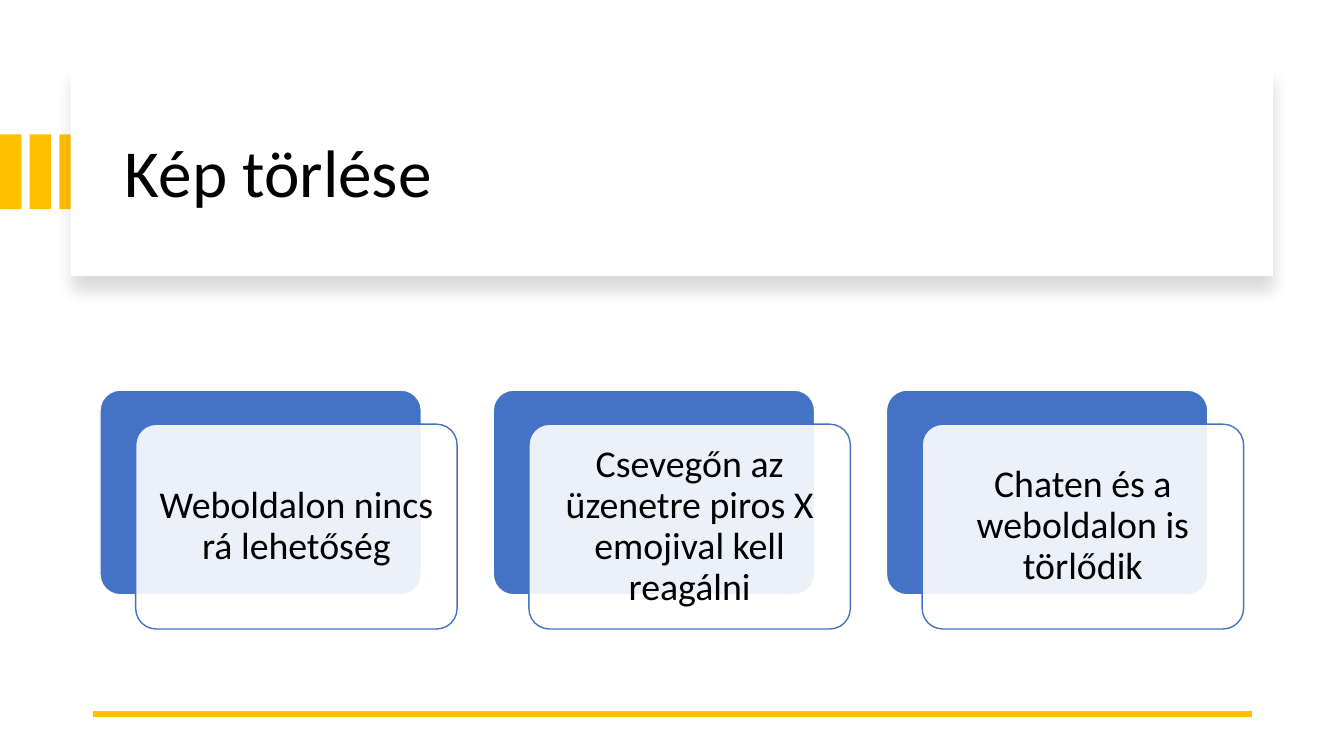
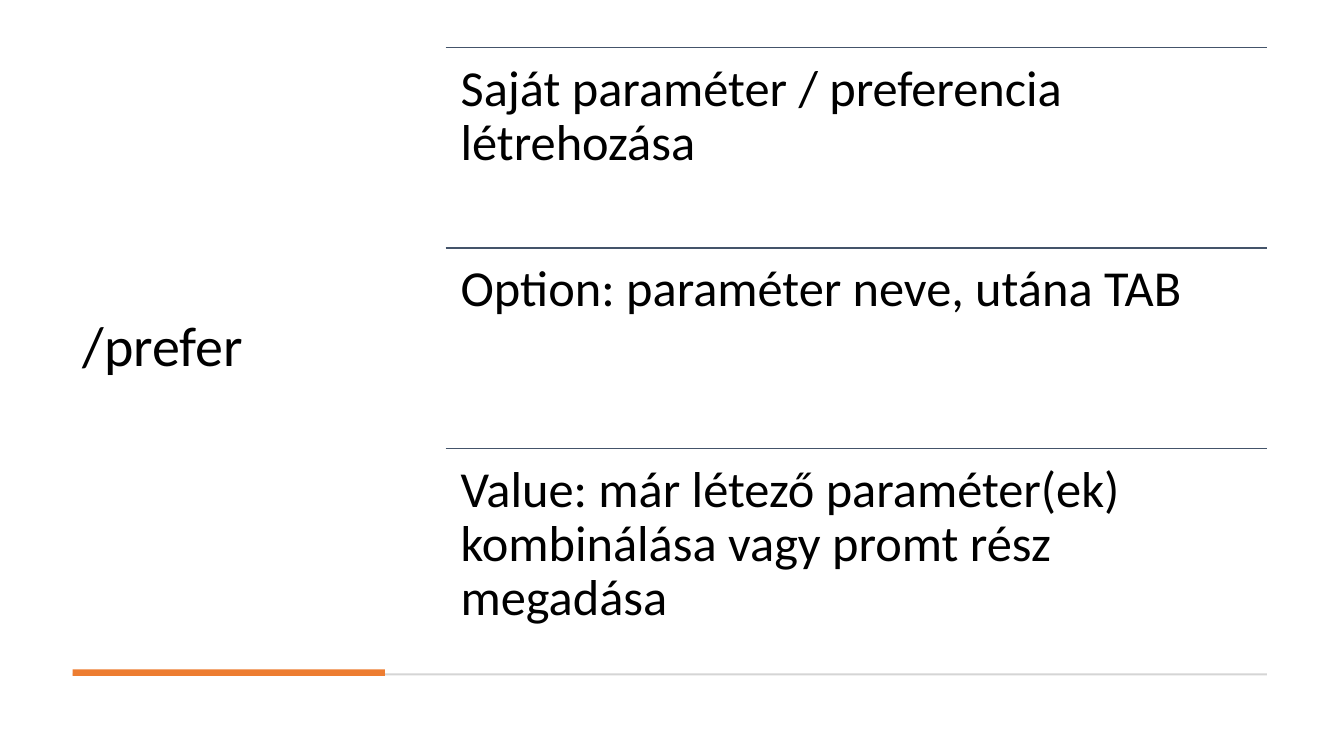
from dataclasses import dataclass

from pptx import Presentation
from pptx import util as u
from pptx.dml.color import RGBColor
from pptx.enum import shapes, text
from pptx.oxml import ns, xmlchemy

Cm, Pt = u.Cm, u.Pt


@dataclass(frozen=True)
class Theme:
    font: str = "Calibri"
    ink: str = "000000"
    paper: str = "FFFFFF"
    gold: str = "FFC000"
    orange: str = "ED7D31"
    blue: str = "4472C4"
    slate: str = "44546A"
    gray: str = "D5D5D5"
    banner_size: int = 48
    side_size: int = 40
    row_size: int = 36
    card_size: int = 27
    spacing: float = 0.9


THEME = Theme()
RECT = shapes.MSO_SHAPE.RECTANGLE
ROUNDED = shapes.MSO_SHAPE.ROUNDED_RECTANGLE


def add_child(parent, tag, **attributes):
    child = xmlchemy.OxmlElement(tag)
    for name, value in attributes.items():
        child.set(name, str(value))
    parent.append(child)
    return child


# Basic elements
def add_block(page, left, top, width, height, fill, line=None, kind=RECT):
    box = page.shapes.add_shape(kind, Cm(left), Cm(top), Cm(width), Cm(height))
    box.shadow.inherit = False
    box.fill.solid()
    box.fill.fore_color.rgb = RGBColor.from_string(fill)
    if line:
        box.line.color.rgb = RGBColor.from_string(line)
        box.line.width = Pt(1)
    else:
        box.line.fill.background()
    return box


def add_rule(page, left, right, y, color, weight):
    rule = page.shapes.add_connector(
        shapes.MSO_CONNECTOR.STRAIGHT, Cm(left), Cm(y), Cm(right), Cm(y))
    rule.line.color.rgb = RGBColor.from_string(color)
    rule.line.width = Pt(weight)
    add_child(rule._element.spPr, "a:effectLst")


def write(box, words, size, anchor=text.MSO_ANCHOR.MIDDLE,
          align=text.PP_ALIGN.LEFT, inset=None):
    frame = box.text_frame
    frame.word_wrap = True
    frame.vertical_anchor = anchor
    if inset is not None:
        frame.margin_left = frame.margin_right = Cm(inset)
        frame.margin_top = frame.margin_bottom = Cm(inset)
    frame.text = words
    para = frame.paragraphs[0]
    para.alignment = align
    para.line_spacing = THEME.spacing
    para.font.name = THEME.font
    para.font.size = Pt(size)
    para.font.color.rgb = RGBColor.from_string(THEME.ink)


def add_text(page, left, top, width, height, words, size, **style):
    box = page.shapes.add_textbox(Cm(left), Cm(top), Cm(width), Cm(height))
    write(box, words, size, **style)


# Effects
def add_soft_shadow(box):
    effects = box._element.spPr.find(ns.qn("a:effectLst"))
    shadow = add_child(effects, "a:outerShdw", blurRad=Pt(11), dist=Pt(10),
                       dir=90 * 60000, algn="t", rotWithShape=0)
    color = add_child(shadow, "a:srgbClr", val=THEME.ink)
    add_child(color, "a:alpha", val=15000)


def set_opacity(box, percent):
    color = box._element.spPr.find(ns.qn("a:solidFill"))[0]
    add_child(color, "a:alpha", val=percent * 1000)


# Composite elements
def add_banner(page, title):
    for index in range(3):
        add_block(page, index * 0.75, 3.39, 0.54, 1.88, THEME.gold)
    panel = add_block(page, 1.78, 1.7, 30.3, 5.26, THEME.paper)
    add_soft_shadow(panel)
    add_text(page, 2.9, 2.27, 28.27, 4.31, title, THEME.banner_size)


def add_cards(page, labels):
    left, top, width, height, pitch = 2.52, 9.83, 8.1, 5.16, 9.91
    for index, label in enumerate(labels):
        x = left + index * pitch
        back = add_block(page, x, top, width, height,
                         THEME.blue, THEME.paper, ROUNDED)
        front = add_block(page, x + 0.9, top + 0.86, width, height,
                          THEME.paper, THEME.blue, ROUNDED)
        for box in (back, front):
            box.adjustments[0] = 0.1
        set_opacity(front, 90)
        write(front, label, THEME.card_size,
              align=text.PP_ALIGN.CENTER, inset=0.28)


def add_ruled_rows(page, rows):
    left, top, width, height = 11.23, 1.2, 20.7, 5.05
    for index, words in enumerate(rows):
        y = top + index * height
        add_rule(page, left, left + width, y, THEME.slate, 1)
        add_text(page, left, y, width, height, words, THEME.row_size,
                 anchor=text.MSO_ANCHOR.TOP, inset=0.38)


# Slides
def build_delete_page(page):
    add_banner(page, "Kép törlése")
    add_rule(page, 2.34, 31.55, 18, THEME.gold, 4.5)
    add_cards(page, [
        "Weboldalon nincs rá lehetőség",
        "Csevegőn az üzenetre piros X emojival kell reagálni",
        "Chaten és a weboldalon is törlődik",
    ])


def build_prefer_page(page):
    left, title_width = 1.83, 7.87
    add_text(page, left, 1.2, title_width, 15.16, "/prefer", THEME.side_size)
    add_block(page, left, 16.97, 30.1, 0.05, THEME.gray)
    add_block(page, left, 16.87, title_width, 0.16, THEME.orange)
    add_ruled_rows(page, [
        "Saját paraméter / preferencia létrehozása",
        "Option: paraméter neve, utána TAB",
        "Value: már létező paraméter(ek) kombinálása vagy promt rész megadása",
    ])


def main():
    deck = Presentation()
    deck.slide_width, deck.slide_height = Cm(33.87), Cm(19.05)
    for build in (build_delete_page, build_prefer_page):
        build(deck.slides.add_slide(deck.slide_layouts[6]))
    deck.save("out.pptx")


if __name__ == "__main__":
    main()
